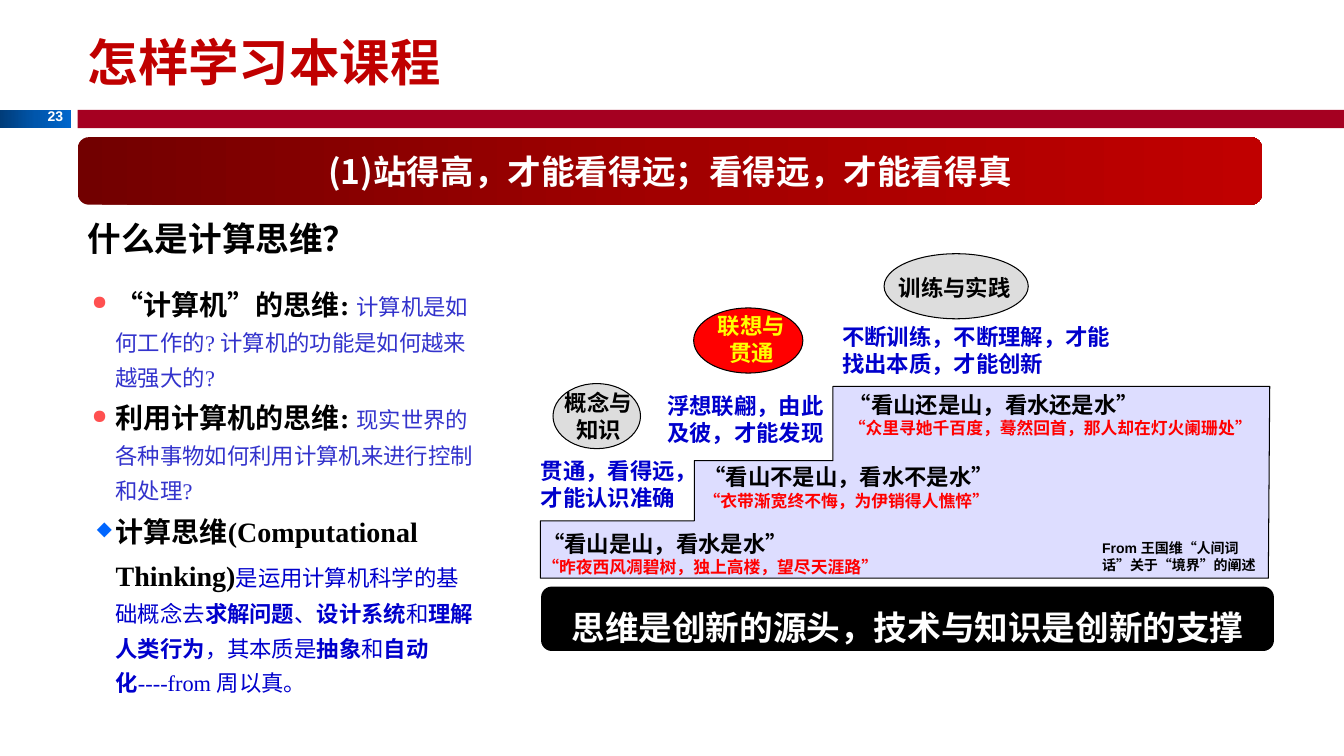
from copy import deepcopy
from itertools import groupby
from pptx import Presentation
from pptx.dml.color import RGBColor as RGB
from pptx.enum.shapes import MSO_SHAPE as Kind
from pptx.enum.text import MSO_ANCHOR as Anchor, MSO_AUTO_SIZE as Auto, PP_ALIGN as Align
from pptx.oxml.ns import qn
from pptx.oxml.xmlchemy import OxmlElement as Node
from pptx.util import Pt

HUE = {
    "black": "000000", "white": "FFFFFF", "red": "FF0000", "title": "C00000",
    "rule": "A50021", "blue": "0000CC", "soft": "3333CC", "gold": "FFFF00",
    "gray": "DDDDDD", "step": "DDDDFF", "dot": "FF5050", "gem": "0066FF",
}
NAVY = ["003C79", "0056AC", "0066CC"]
WINE = ["720000", "A20000", "C00000"]
SANS, CJK, SERIF = "Arial", "Noto Sans CJK SC", "Times New Roman"

deck = Presentation()
deck.slide_width, deck.slide_height = Pt(960), Pt(540)
slide = deck.slides.add_slide(deck.slide_layouts[6])
shapes = slide.shapes


def write(frame, paras, font=SANS, align=Align.LEFT, wrap=True, space=None):
    frame.word_wrap = wrap
    for i, runs in enumerate(paras):
        para = frame.paragraphs[0] if i == 0 else frame.add_paragraph()
        para.alignment = align
        if space:
            para.line_spacing = space
        for text, size, hue, bold in runs:
            for quote, part in groupby(text, lambda c: c in "“”"):
                run = para.add_run()
                run.text = "".join(part)
                run.font.name = CJK if quote else font
                run.font.size = Pt(size)
                run.font.bold = bold
                run.font.color.rgb = RGB.from_string(HUE[hue])


def draw(kind, box, fill, edge=False):
    shape = shapes.add_shape(kind, *map(Pt, box))
    shape.shadow.inherit = False
    if isinstance(fill, list):
        shape.fill.gradient()
        shape.fill.gradient_angle = 0
        stops = shape._element.spPr.find(".//" + qn("a:gsLst"))
        stops.insert(1, deepcopy(stops[0]))
        for stop, hue, at in zip(shape.fill.gradient_stops, fill, (0, 0.5, 1)):
            stop.color.rgb = RGB.from_string(hue)
            stop.position = at
    else:
        shape.fill.solid()
        shape.fill.fore_color.rgb = RGB.from_string(HUE[fill])
    if edge:
        shape.line.color.rgb = RGB.from_string(HUE["black"])
        shape.line.width = Pt(0.75)
    else:
        shape.line.fill.background()
    return shape


draw(Kind.RECTANGLE, (0, 78.5, 51, 13), NAVY)
draw(Kind.RECTANGLE, (55.5, 78.5, 904.5, 13), "rule")

stair = [(385.75, 372.25), (496, 372.25), (496, 329), (595.25, 329),
         (595.25, 276.25), (907, 276.25), (906, 413.25)]
path = shapes.build_freeform(385.75, 413.25, scale=12700)
path.add_line_segments(stair, close=True)
steps = path.convert_to_shape()
steps.shadow.inherit = False
steps.fill.solid()
steps.fill.fore_color.rgb = RGB.from_string(HUE["step"])
steps.line.color.rgb = RGB.from_string(HUE["black"])
steps.line.width = Pt(0.75)

for box, hue in [((495.5, 220, 78, 46.5), "red"), ((631.5, 181.25, 103, 46.5), "gray"),
                 ((395, 274, 62.5, 46.5), "gray")]:
    draw(Kind.OVAL, box, hue, True)

verses = [
    ((380.25, 375, 262), "“看山是山，看水是水”", "“昨夜西风凋碧树，独上高楼，望尽天涯路”"),
    ((495.5, 327.5, 234), "“看山不是山，看水不是水”", "“衣带渐宽终不悔，为伊销得人憔悴”"),
    ((599.25, 275.75, 310), "“看山还是山，看水还是水”", "“众里寻她千百度，蓦然回首，那人却在灯火阑珊处”"),
]
labels = [
    ((25.25, 73.5, 27, 19), [[("23", 10, "white", True)]], Align.RIGHT, False),
    ((780.25, 382, 130, 31), [[("From 王国维“人间词话”关于“境界”的阐述", 10, "black", True)]], Align.LEFT, True),
    ((55.5, 152.25, 209.5, 36), [[("什么是计算思维？", 24, "black", True)]], Align.LEFT, False),
]
for spot, head, verse in verses:
    labels.append(((*spot, 41), [[(head, 16, "black", True)], [(verse, 12, "red", True)]], Align.LEFT, True))
for box, text, hue, align, wrap in [
    ((379.25, 323.25, 127.5, 46), "贯通，看得远，才能认识准确", "blue", Align.LEFT, True),
    ((469.5, 276.5, 129.5, 46), "浮想联翩，由此及彼，才能发现", "blue", Align.LEFT, True),
    ((594.5, 227, 209, 46), "不断训练，不断理解，才能找出本质，才能创新", "blue", Align.LEFT, True),
    ((502.5, 219.5, 68.5, 46), "联想与贯通", "gold", Align.CENTER, True),
    ((635, 192, 96, 27), "训练与实践", "black", Align.LEFT, False),
    ((394.5, 274.25, 66, 46), "概念与知识", "black", Align.CENTER, True),
]:
    labels.append((box, [[(text, 16, hue, True)]], align, wrap))
for box, paras, align, wrap in labels:
    frame = shapes.add_textbox(*map(Pt, box)).text_frame
    write(frame, paras, SANS, align, wrap)
    frame.auto_size = Auto.SHAPE_TO_FIT_TEXT

points = [
    [("“计算机”的思维: ", 20, "black", True),
     ("计算机是如何工作的? 计算机的功能是如何越来越强大的?", 16, "soft", False)],
    [("利用计算机的思维: ", 20, "black", True),
     ("现实世界的各种事物如何利用计算机来进行控制和处理?", 16, "soft", False)],
    [("计算思维(Computational Thinking)", 20, "black", True)],
]
parts = ["是运用计算机科学的基础概念去", "求解问题", "、", "设计系统", "和", "理解人类行为",
         "，其本质是", "抽象", "和", "自动化", "----from 周以真。"]
points[2] += [(part, 16, "blue", i % 2 == 1) for i, part in enumerate(parts)]
frame = shapes.add_textbox(Pt(58.5), Pt(194.5), Pt(290), Pt(307)).text_frame
write(frame, points, SERIF, space=1.3)
for para, mark, hue, hang in zip(frame.paragraphs, "●●◆", ("dot", "dot", "gem"), (17, 17, 13.5)):
    prop = para._p.get_or_add_pPr()
    prop.set("marL", str(Pt(17)))
    prop.set("indent", str(-Pt(hang)))
    tint = Node("a:buClr")
    rgb = Node("a:srgbClr")
    rgb.set("val", HUE[hue])
    tint.append(rgb)
    scale = Node("a:buSzPct")
    scale.set("val", "70000")
    sign = Node("a:buChar")
    sign.set("char", mark)
    prop.extend([tint, scale, sign])

bar = draw(Kind.ROUNDED_RECTANGLE, (386.5, 419, 523.5, 46), "black").text_frame
bar.vertical_anchor = Anchor.TOP
write(bar, [[("思维是创新的源头，技术与知识是创新的支撑", 24, "white", True)]], CJK, Align.CENTER, space=1.3)

band = draw(Kind.ROUNDED_RECTANGLE, (55.5, 98, 846, 48.25), WINE).text_frame
band.vertical_anchor = Anchor.MIDDLE
write(band, [[("(1)站得高，才能看得远；看得远，才能看得真", 24, "white", True)]], CJK, Align.CENTER)

title = shapes.add_textbox(Pt(55.5), Pt(14), Pt(840), Pt(60)).text_frame
title.vertical_anchor = Anchor.MIDDLE
write(title, [[("怎样学习本课程", 36, "title", True)]], CJK)

deck.save("out.pptx")
